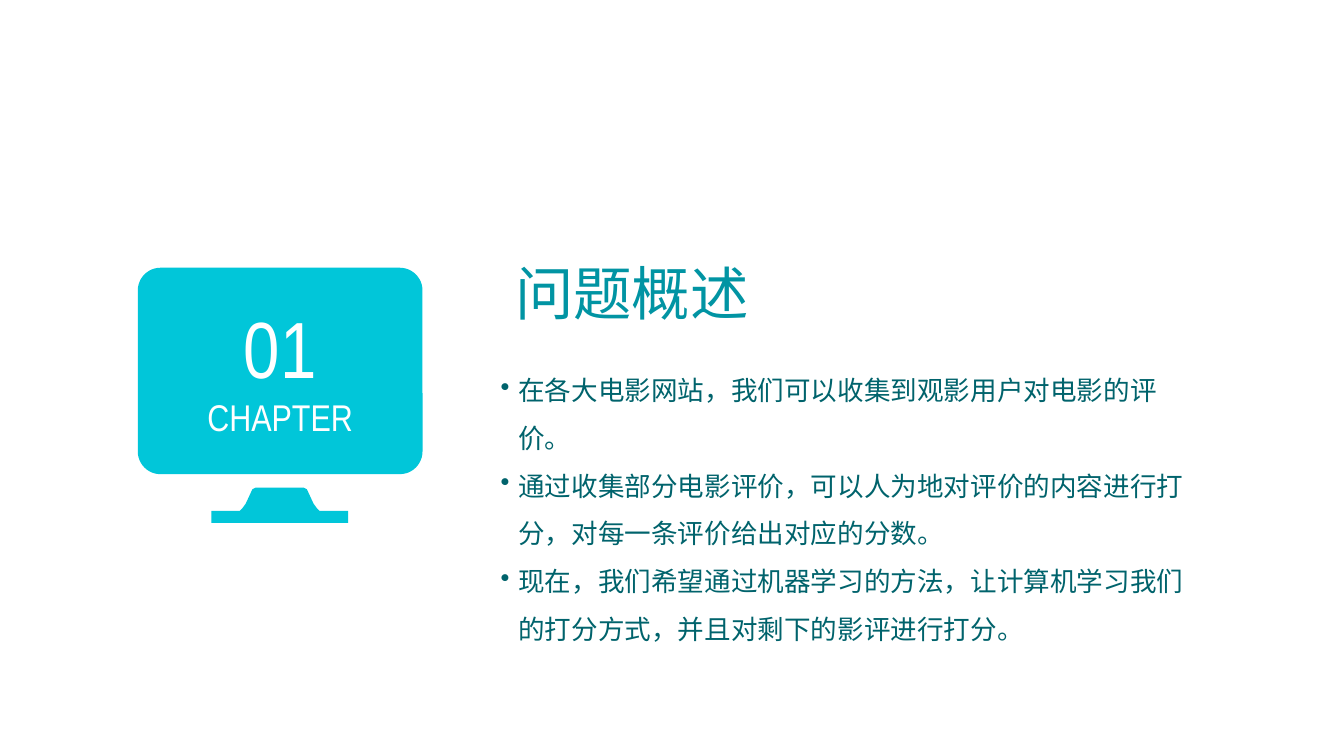
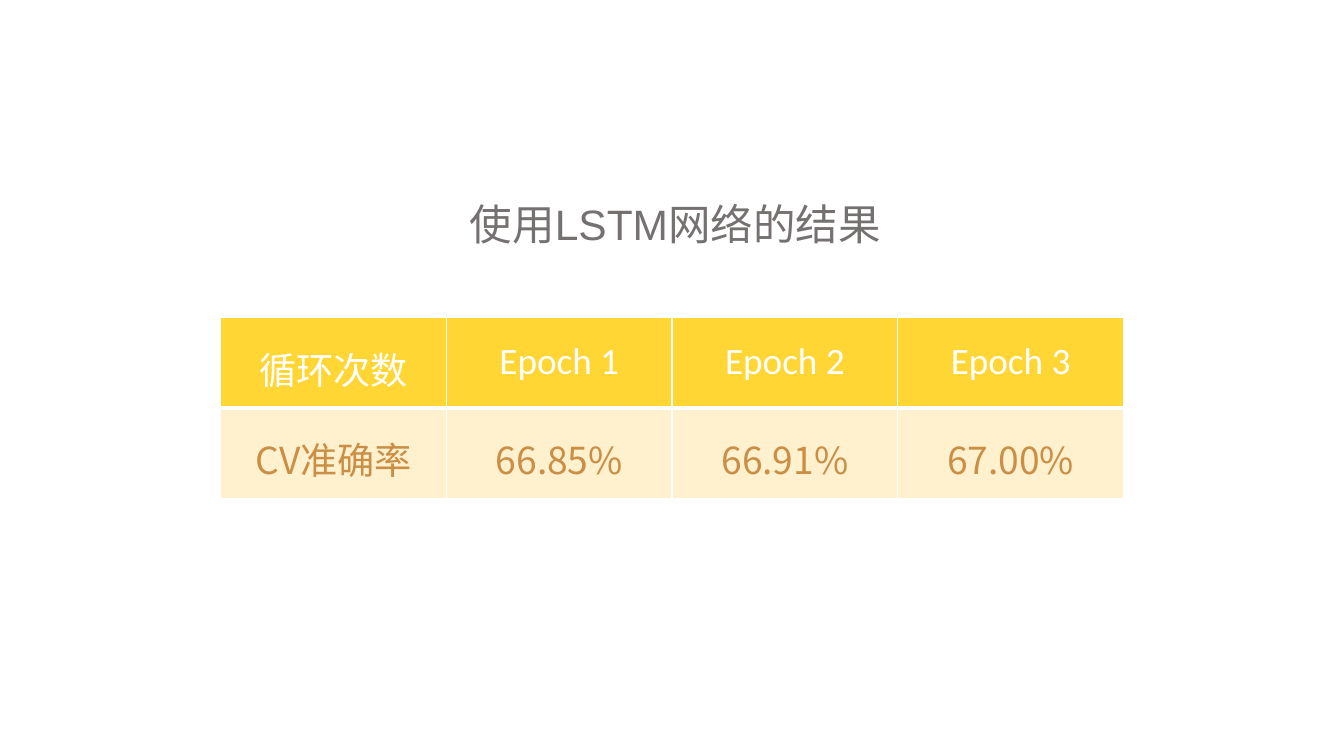
"""Build a chapter opener and a table of LSTM results."""
from lxml import etree
from pptx import Presentation
from pptx.dml.color import RGBColor
from pptx.enum import shapes, text
from pptx.oxml import ns
from pptx.util import Pt

COLORS = {
    "cyan": "01C6D9", "teal": "0194A3", "deep": "00636C", "grey": "767171",
    "gold": "FFD633", "cream": "FFF0CE", "bronze": "CA8F45", "white": "FFFFFF",
}
CJK = "Noto Sans CJK SC"
SLIDE_SIZE = (1012.5, 569.5)

CHAPTER = [("01", 60), ("CHAPTER", 28)]
CHAPTER_TITLE = "问题概述"
POINTS = [
    "在各大电影网站，我们可以收集到观影用户对电影的评价。",
    "通过收集部分电影评价，可以人为地对评价的内容进行打分，对每一条评价给出对应的分数。",
    "现在，我们希望通过机器学习的方法，让计算机学习我们的打分方式，并且对剩下的影评进行打分。",
]
RESULT_TITLE = "使用LSTM网络的结果"
RESULTS = [
    ["循环次数", "Epoch 1", "Epoch 2", "Epoch 3"],
    ["CV准确率", "66.85%", "66.91%", "67.00%"],
]
ROW_STYLES = [("gold", "white"), ("cream", "bronze")]

MONITOR = (103.8, 201.7, 214.5, 155.5)
STAND_TOP, STAND_CENTER = 367.3, 210.7
STAND_HALF = [(18, 0), (20.5, 1.2), (22.5, 5.5), (25.5, 12), (28, 15.5),
              (30, 17.5), (51.5, 17.5), (51.5, 26.5)]
TABLE_LEFT, TABLE_TOP, COLUMN_WIDTH, ROW_HEIGHT = 166.3, 239, 170, 68.2


def color(name):
    return RGBColor.from_string(COLORS[name])


def style(para, size, color_name, latin="Arial"):
    font = para.font
    font.size = Pt(size)
    font.color.rgb = color(color_name)
    font.name = latin
    etree.SubElement(font._element, ns.qn("a:ea"), typeface=CJK)


def clear_margins(frame):
    frame.margin_left = frame.margin_right = 0
    frame.margin_top = frame.margin_bottom = 0


def paint(shape):
    shape.shadow.inherit = False
    shape.fill.solid()
    shape.fill.fore_color.rgb = color("cyan")
    shape.line.fill.background()


def add_text(page, place, lines, size, color_name, pitch):
    box = page.shapes.add_textbox(*map(Pt, place))
    frame = box.text_frame
    frame.word_wrap = True
    frame.auto_size = text.MSO_AUTO_SIZE.SHAPE_TO_FIT_TEXT
    frame.text = "\n".join(lines)
    for para in frame.paragraphs:
        para.line_spacing = Pt(pitch)
        style(para, size, color_name)
    return frame


def add_bullet(para):
    props = para._p.get_or_add_pPr()
    props.set("marL", str(Pt(13.5)))
    props.set("indent", str(-Pt(13.5)))
    props.set("hangingPunct", "0")
    bullet = etree.Element(ns.qn("a:buChar"), char="•")
    props.find(ns.qn("a:defRPr")).addprevious(bullet)


def add_monitor(page):
    screen = page.shapes.add_shape(
        shapes.MSO_SHAPE.ROUNDED_RECTANGLE, *map(Pt, MONITOR))
    screen.adjustments[0] = 0.11
    paint(screen)
    frame = screen.text_frame
    clear_margins(frame)
    frame.margin_bottom = Pt(3)
    frame.vertical_anchor = text.MSO_ANCHOR.MIDDLE
    frame.text = "\n".join(label for label, size in CHAPTER)
    for para, (label, size) in zip(frame.paragraphs, CHAPTER):
        para.alignment = text.PP_ALIGN.CENTER
        style(para, size, "white", "Arial Narrow")

    outline = STAND_HALF + [(-x, y) for x, y in reversed(STAND_HALF)]
    points = [(Pt(STAND_CENTER + x), Pt(STAND_TOP + y)) for x, y in outline]
    builder = page.shapes.build_freeform(*points[0])
    builder.add_line_segments(points[1:], close=True)
    paint(builder.convert_to_shape())


def add_borders(cell, widths):
    props = cell._tc.get_or_add_tcPr()
    for side, width in zip("LRTB", widths):
        line = etree.SubElement(props, ns.qn("a:ln" + side), w=str(Pt(width)))
        fill = etree.SubElement(line, ns.qn("a:solidFill"))
        etree.SubElement(fill, ns.qn("a:srgbClr"), val=COLORS["white"])


def add_results(page):
    rows, columns = len(RESULTS), len(RESULTS[0])
    table = page.shapes.add_table(
        rows, columns, Pt(TABLE_LEFT), Pt(TABLE_TOP),
        Pt(COLUMN_WIDTH * columns), Pt(ROW_HEIGHT * rows)).table
    table.first_row = table.horz_banding = False
    for row, (values, (fill, ink)) in enumerate(zip(RESULTS, ROW_STYLES)):
        for column, value in enumerate(values):
            cell = table.cell(row, column)
            add_borders(cell, (1, 1, 3, 1) if row else (1, 1, 1, 3))
            cell.fill.solid()
            cell.fill.fore_color.rgb = color(fill)
            epoch = row == 0 and column > 0
            cell.margin_top = Pt(16.5 if epoch else 18)
            cell.text = value
            para = cell.text_frame.paragraphs[0]
            para.alignment = text.PP_ALIGN.CENTER
            style(para, 28, ink, "Calibri" if epoch else CJK)


def build_chapter(page):
    add_monitor(page)
    title = add_text(page, (388, 193.7, 265.7, 53.3), [CHAPTER_TITLE],
                     44, "teal", 52.5)
    clear_margins(title)
    body = add_text(page, (370, 266.2, 544.3, 189.4), POINTS, 20, "deep", 36)
    for para in body.paragraphs:
        add_bullet(para)


def build_results(page):
    title = add_text(page, (353.9, 149.4, 311, 38.9), [RESULT_TITLE],
                     32, "grey", 38)
    clear_margins(title)
    title.vertical_anchor = text.MSO_ANCHOR.MIDDLE
    add_results(page)


def main():
    deck = Presentation()
    deck.slide_width, deck.slide_height = map(Pt, SLIDE_SIZE)
    for build in (build_chapter, build_results):
        build(deck.slides.add_slide(deck.slide_layouts[6]))
    deck.save("out.pptx")


if __name__ == "__main__":
    main()
